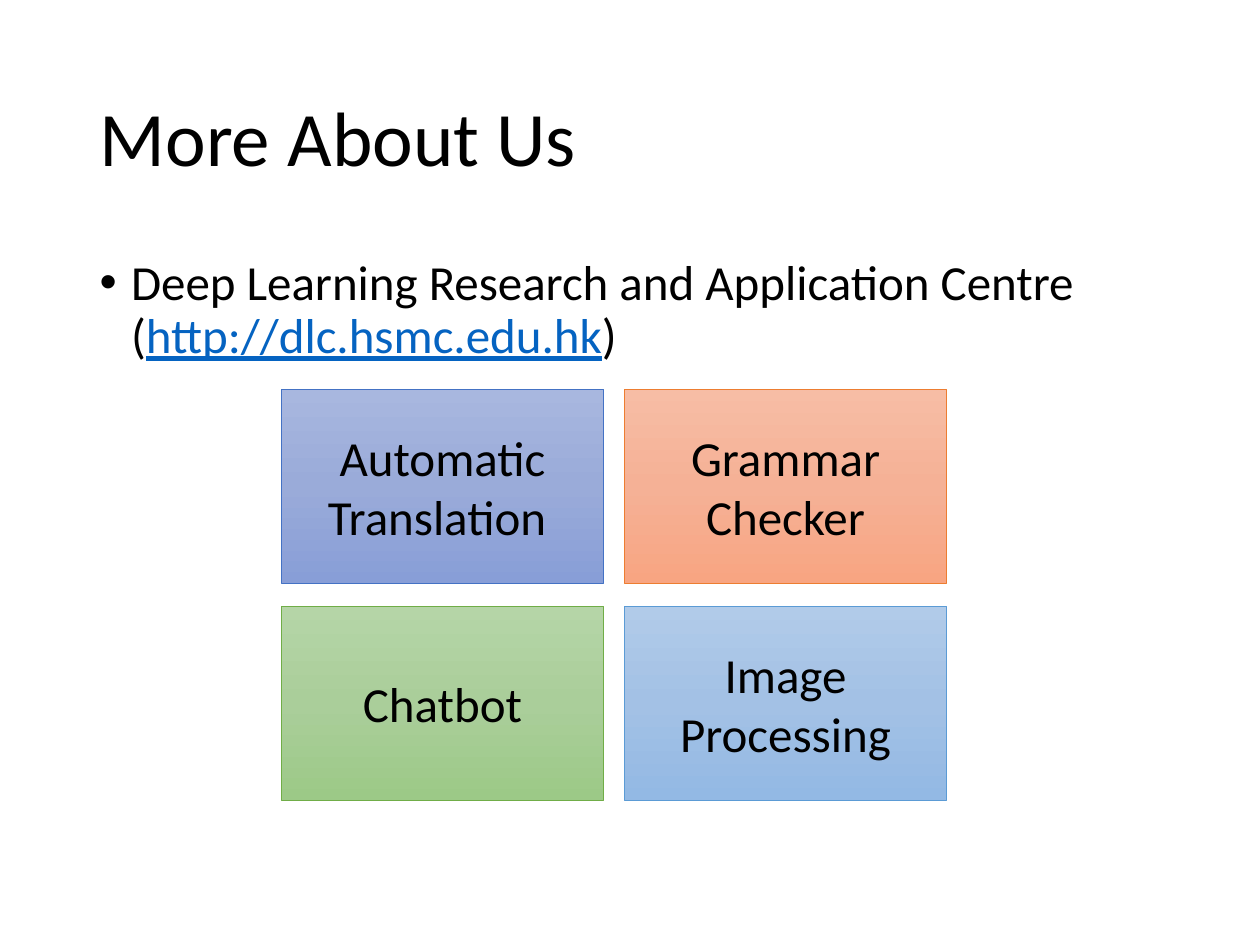
from copy import deepcopy

from pptx import Presentation
from pptx import util as u
from pptx.dml.color import RGBColor
from pptx.enum import shapes, text
from pptx.oxml.ns import qn

# Content
TITLE = "More About Us"
BODY = [  # wording, colour, underline
    ("Deep Learning Research and Application Centre (", "000000", False),
    ("http://dlc.hsmc.edu.hk", "0563C1", True),
    (")", "000000", False),
]
PROJECTS = [  # label, outline, gradient from top to bottom
    ("Automatic Translation ", "4472C4", ("A8B7DF", "9AABD9", "889ED7")),
    ("Grammar Checker", "ED7D31", ("F7BDA5", "F5B196", "F8A582")),
    ("Chatbot", "70AD47", ("B5D5A7", "AACE9A", "9CC987")),
    ("Image Processing", "5B9BD5", ("B1CBE9", "A3C1E5", "93B9E4")),
]

# Layout in px, 126 to the inch
SCALE = 914400 // 126
TITLE_AREA = (87, 50, 1086, 183)
BODY_AREA = (87, 252, 1086, 600)
GRID_LEFT, GRID_TOP, COLUMNS = 281, 389, 2
BOX_WIDTH, BOX_HEIGHT = 323, 194
STEP_X, STEP_Y = 343, 217


def px(value):
    return u.Emu(value * SCALE)


def colour(code):
    return RGBColor.from_string(code)


def apply(target, values):
    for name, value in values.items():
        setattr(target, name, value)


def place(shape, area):
    apply(shape, dict(zip(("left", "top", "width", "height"), map(px, area))))


def add_span(para, wording, size, code="000000", underline=False):
    span = para.add_run()
    span.text = wording
    apply(span.font, {"name": "Calibri", "size": u.Pt(size), "underline": underline})
    span.font.color.rgb = colour(code)


def fill_gradient(fill, codes):
    fill.gradient()
    fill.gradient_angle = 270
    first = fill.gradient_stops[0]._gs
    first.addnext(deepcopy(first))
    for index, (stop, code) in enumerate(zip(fill.gradient_stops, codes)):
        stop.position = index / (len(codes) - 1)
        stop.color.rgb = colour(code)


def add_project(page, index, label, outline, gradient):
    row, column = divmod(index, COLUMNS)
    area = (GRID_LEFT + column * STEP_X, GRID_TOP + row * STEP_Y, BOX_WIDTH, BOX_HEIGHT)
    box = page.shapes.add_shape(shapes.MSO_SHAPE.RECTANGLE, *map(px, area))
    box.shadow.inherit = False
    fill_gradient(box.fill, gradient)
    box.line.color.rgb = colour(outline)
    box.line.width = u.Pt(0.5)
    apply(box.text_frame, {"word_wrap": True, "vertical_anchor": text.MSO_ANCHOR.MIDDLE})
    para = box.text_frame.paragraphs[0]
    para.alignment = text.PP_ALIGN.CENTER
    add_span(para, label, 28)


def main():
    deck = Presentation()
    apply(deck, {"slide_width": px(1260), "slide_height": px(945)})
    page = deck.slides.add_slide(deck.slide_layouts[1])
    title, body = page.shapes.title, page.placeholders[1]

    # Title and list placeholders
    for holder, area, anchor in (
        (title, TITLE_AREA, text.MSO_ANCHOR.MIDDLE),
        (body, BODY_AREA, text.MSO_ANCHOR.TOP),
    ):
        place(holder, area)
        apply(holder.text_frame, {
            "word_wrap": True,
            "auto_size": text.MSO_AUTO_SIZE.NONE,
            "vertical_anchor": anchor,
        })
        apply(holder.text_frame.paragraphs[0], {
            "alignment": text.PP_ALIGN.LEFT,
            "line_spacing": 0.9,
            "space_before": u.Pt(0),
        })
    add_span(title.text_frame.paragraphs[0], TITLE, 44)

    # Bulleted line with the web address
    para = body.text_frame.paragraphs[0]
    properties = para._p.get_or_add_pPr()
    properties.set("marL", str(u.Inches(0.25)))
    properties.set("indent", str(-u.Inches(0.25)))
    bullet = properties.makeelement(qn("a:buChar"), {"char": "•"})
    properties.append(bullet)
    for wording, code, underline in BODY:
        add_span(para, wording, 28, code, underline)

    # Grid of projects
    for index, project in enumerate(PROJECTS):
        add_project(page, index, *project)

    deck.save("out.pptx")


if __name__ == "__main__":
    main()
